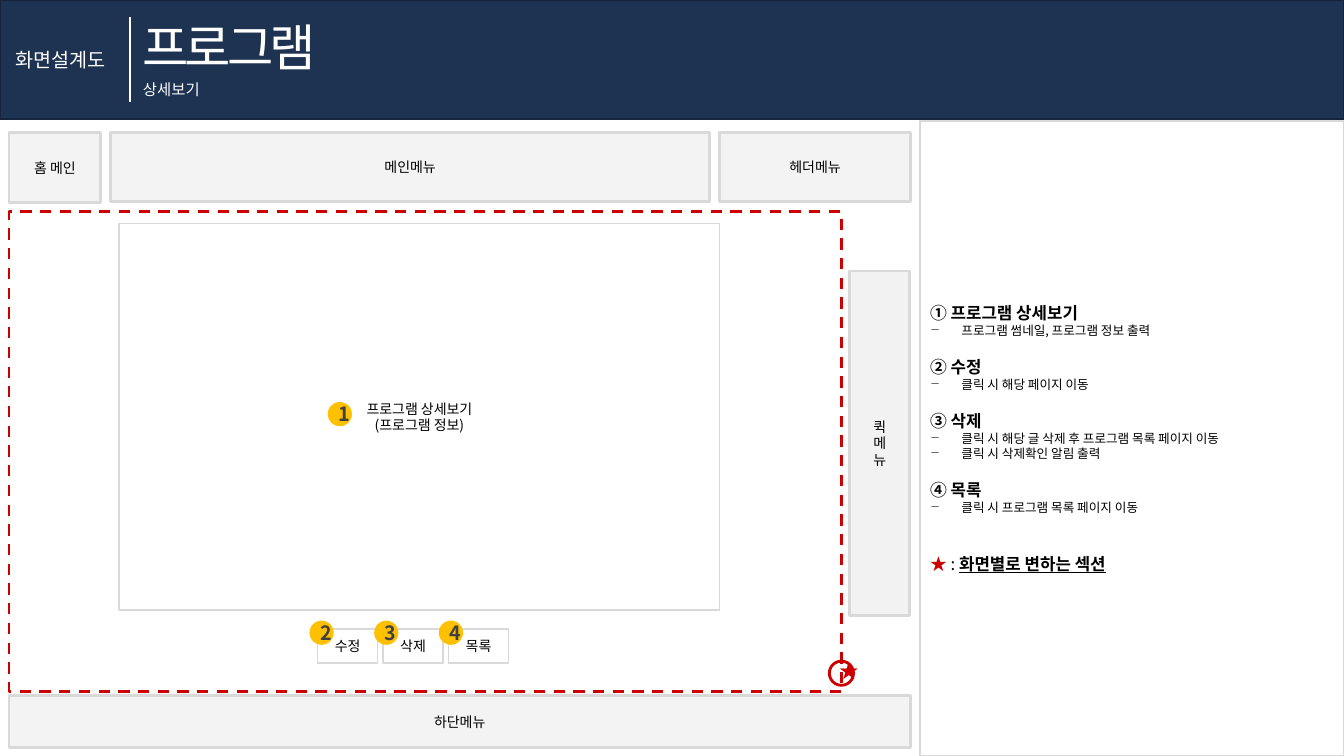
from dataclasses import dataclass

from lxml import etree
from pptx import Presentation
from pptx.dml.color import RGBColor
from pptx.enum.dml import MSO_LINE
from pptx.enum.shapes import MSO_CONNECTOR, MSO_SHAPE
from pptx.enum.text import MSO_ANCHOR, PP_ALIGN
from pptx.oxml.ns import qn
from pptx.util import Cm, Pt

RECTANGLE, OVAL = MSO_SHAPE.RECTANGLE, MSO_SHAPE.OVAL
LEFT, CENTER = PP_ALIGN.LEFT, PP_ALIGN.CENTER
MIDDLE = MSO_ANCHOR.MIDDLE
STRAIGHT = MSO_CONNECTOR.STRAIGHT
DASH = MSO_LINE.DASH


@dataclass(frozen=True)
class Theme:
    font: str = "Noto Sans CJK KR"
    subtitle_font: str = "Arial"
    navy: str = "1E3252"
    navy_edge: str = "16253D"
    white: str = "FFFFFF"
    black: str = "000000"
    border: str = "D9D9D9"
    quick_fill: str = "BFBFBF"
    red: str = "CC0000"
    amber: str = "FFC000"
    badge_text: str = "404040"
    title: int = 36
    label: int = 14
    subtitle: int = 11
    body: int = 10
    heading: int = 12
    note: int = 9


theme = Theme()


def add_box(shapes, kind, bounds, fill=None, line=None, width=1, opacity=None):
    shape = shapes.add_shape(kind, *map(Cm, bounds))
    shape.shadow.inherit = False
    if fill:
        shape.fill.solid()
        shape.fill.fore_color.rgb = RGBColor.from_string(fill)
    else:
        shape.fill.background()
    if opacity:
        color = shape.fill._xPr.find(qn("a:solidFill"))[0]
        etree.SubElement(color, qn("a:alpha"), val=str(opacity * 1000))
    if line:
        shape.line.color.rgb = RGBColor.from_string(line)
        shape.line.width = Pt(width)
    else:
        shape.line.fill.background()
    return shape


def write(shape, lines, size, color=theme.black, align=CENTER, bold=False, font=theme.font):
    frame = shape.text_frame
    frame.word_wrap = True
    frame.vertical_anchor = MIDDLE
    for index, line in enumerate(lines):
        paragraph = frame.paragraphs[0] if index == 0 else frame.add_paragraph()
        paragraph.text = line
        paragraph.alignment = align
        paragraph.font.name = font
        paragraph.font.size = Pt(size)
        paragraph.font.bold = bold
        paragraph.font.color.rgb = RGBColor.from_string(color)
        properties = paragraph._p.get_or_add_pPr().get_or_add_defRPr()
        etree.SubElement(properties, qn("a:ea"), typeface=font)
        if len(lines) > 1:
            paragraph.line_spacing = Pt(round(size * 1.17, 1))
    return frame


presentation = Presentation()
presentation.slide_width, presentation.slide_height = Cm(33.87), Cm(19.05)
slide = presentation.slides.add_slide(presentation.slide_layouts[6])
shapes = slide.shapes

add_box(shapes, RECTANGLE, (0, 0, 33.87, 3), theme.navy, theme.navy_edge)
for text, bounds, size, font in (
    ("프로그램", (3.35, 0.28, 5.21, 1.8), theme.title, theme.font),
    ("화면설계도", (0.13, 1.07, 3, 0.86), theme.label, theme.font),
    ("상세보기", (3.35, 1.88, 2.08, 0.74), theme.subtitle, theme.subtitle_font),
):
    text_box = shapes.add_textbox(*map(Cm, bounds))
    frame = write(text_box, [text], size, theme.white, LEFT, font=font)
    if size == theme.title:
        frame.paragraphs[0].runs[0].font._element.set("spc", "-300")

divider = shapes.add_connector(STRAIGHT, Cm(3.28), Cm(0.43), Cm(3.28), Cm(2.57))
divider.line.color.rgb = RGBColor.from_string(theme.white)
divider.line.width = Pt(1.5)
etree.SubElement(divider._element.spPr, qn("a:effectLst"))

detail = add_box(shapes, RECTANGLE, (3, 5.64, 15.14, 9.73), theme.white, theme.border)
write(detail, ["프로그램 상세보기", "(프로그램 정보)"], theme.body)

for index, text in enumerate(("수정", "삭제", "목록")):
    bounds = (8 + 1.65 * index, 15.85, 1.52, 0.86)
    button = add_box(shapes, RECTANGLE, bounds, theme.white, theme.border)
    write(button, [text], theme.body)

sections = (
    ("① 프로그램 상세보기", ["프로그램 썸네일, 프로그램 정보 출력"]),
    ("② 수정", ["클릭 시 해당 페이지 이동"]),
    ("③ 삭제", ["클릭 시 해당 글 삭제 후 프로그램 목록 페이지 이동", "클릭 시 삭제확인 알림 출력"]),
    ("④ 목록", ["클릭 시 프로그램 목록 페이지 이동"]),
)
legend = (("★ ", theme.red, True), (": ", theme.black, False), ("화면별로 변하는 섹션", theme.black, True))
headings = [heading for heading, notes in sections]
lines = [line for heading, notes in sections for line in (heading, *notes)]
description = add_box(shapes, RECTANGLE, (23.19, 3.05, 10.68, 16), theme.white, theme.border)
frame = write(description, lines + [""], theme.heading, align=LEFT, bold=True)
for index, paragraph in enumerate(frame.paragraphs[:-1]):
    if paragraph.text in headings:
        paragraph.space_before = Pt(14 if index else 0)
        continue
    paragraph.font.size = Pt(theme.note)
    paragraph.font.bold = False
    paragraph.line_spacing = Pt(10.6)
    properties = paragraph._p.get_or_add_pPr()
    properties.set("marL", str(Cm(0.79)))
    properties.set("indent", str(-Cm(0.79)))
    bullet = etree.Element(qn("a:buChar"), char="−")
    properties.get_or_add_defRPr().addprevious(bullet)
legend_paragraph = frame.paragraphs[-1]
legend_paragraph.space_before = Pt(28)
for text, color, bold in legend:
    run = legend_paragraph.add_run()
    run.text = text
    run.font.color.rgb = RGBColor.from_string(color)
    run.font.bold = bold
run.font.underline = True

badge_places = [(8.26, 10.13)] + [(7.8 + 1.63 * index, 15.64) for index in range(3)]
for number, place in enumerate(badge_places, 1):
    badge = add_box(shapes, OVAL, (*place, 0.61, 0.61), theme.amber)
    write(badge, [str(number)], theme.label, theme.badge_text, bold=True)

marker = shapes.add_group_shape()
add_box(marker.shapes, OVAL, (20.9, 16.66, 0.61, 0.61), theme.white, theme.red, 2)
star = marker.shapes.add_textbox(*map(Cm, (20.9, 16.46, 0.61, 0.86)))
write(star, ["★"], theme.label, theme.red)

for menu_lines, bounds, fill, opacity in (
    (["메인메뉴"], (2.79, 3.33, 15.09, 1.75), theme.border, 30),
    (["홈 메인"], (0.23, 3.33, 2.31, 1.78), theme.border, 30),
    (["퀵", "메", "뉴"], (21.41, 6.83, 1.52, 8.69), theme.quick_fill, 20),
    (["헤더메뉴"], (18.14, 3.33, 4.8, 1.75), theme.border, 30),
    (["하단메뉴"], (0.23, 17.53, 22.71, 1.3), theme.border, 30),
):
    menu = add_box(shapes, RECTANGLE, bounds, fill, theme.border, 2, opacity)
    write(menu, menu_lines, theme.body)

changing_section = add_box(shapes, RECTANGLE, (0.23, 5.33, 20.98, 12.09), line=theme.red, width=2)
changing_section.line.dash_style = DASH

presentation.save("out.pptx")
